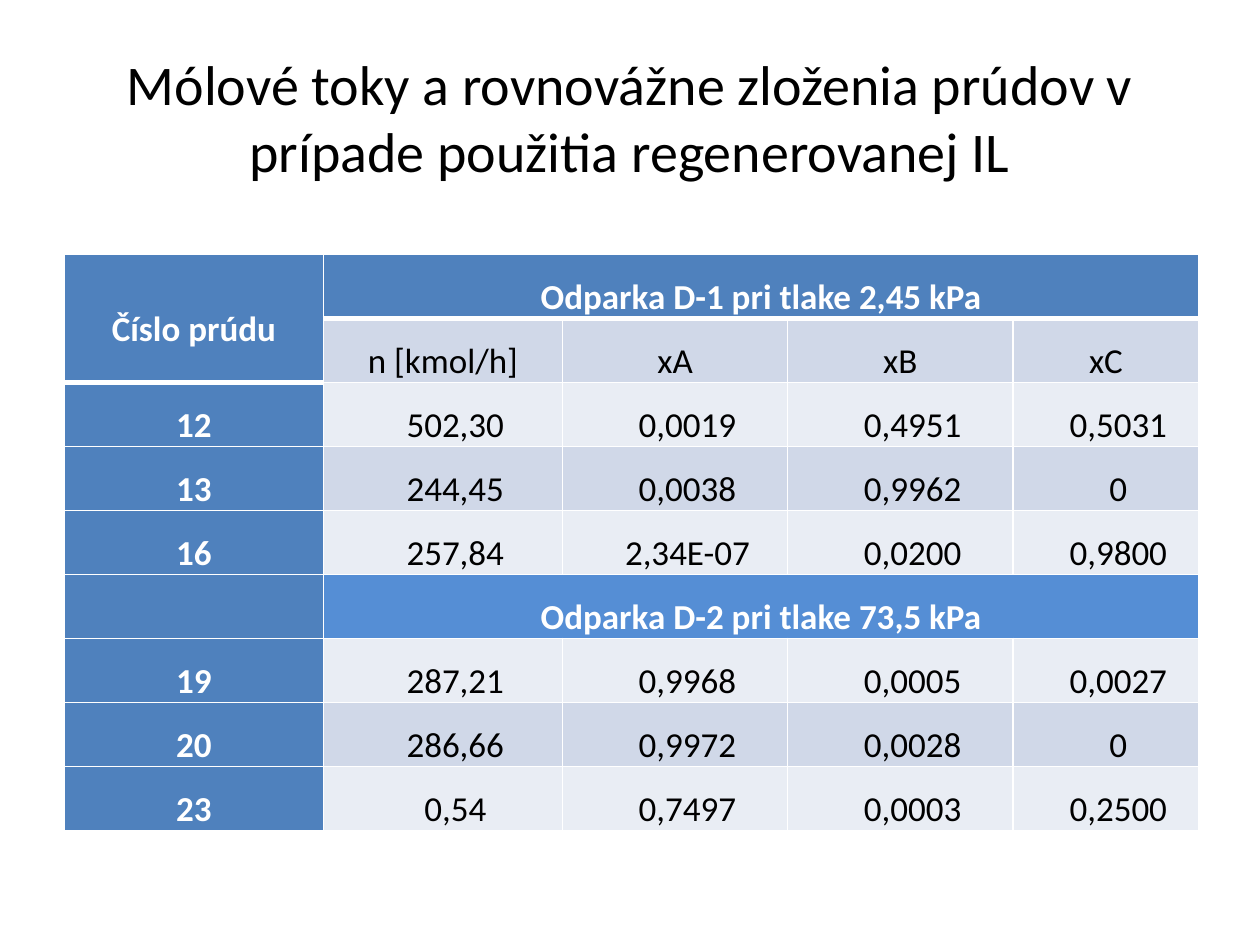
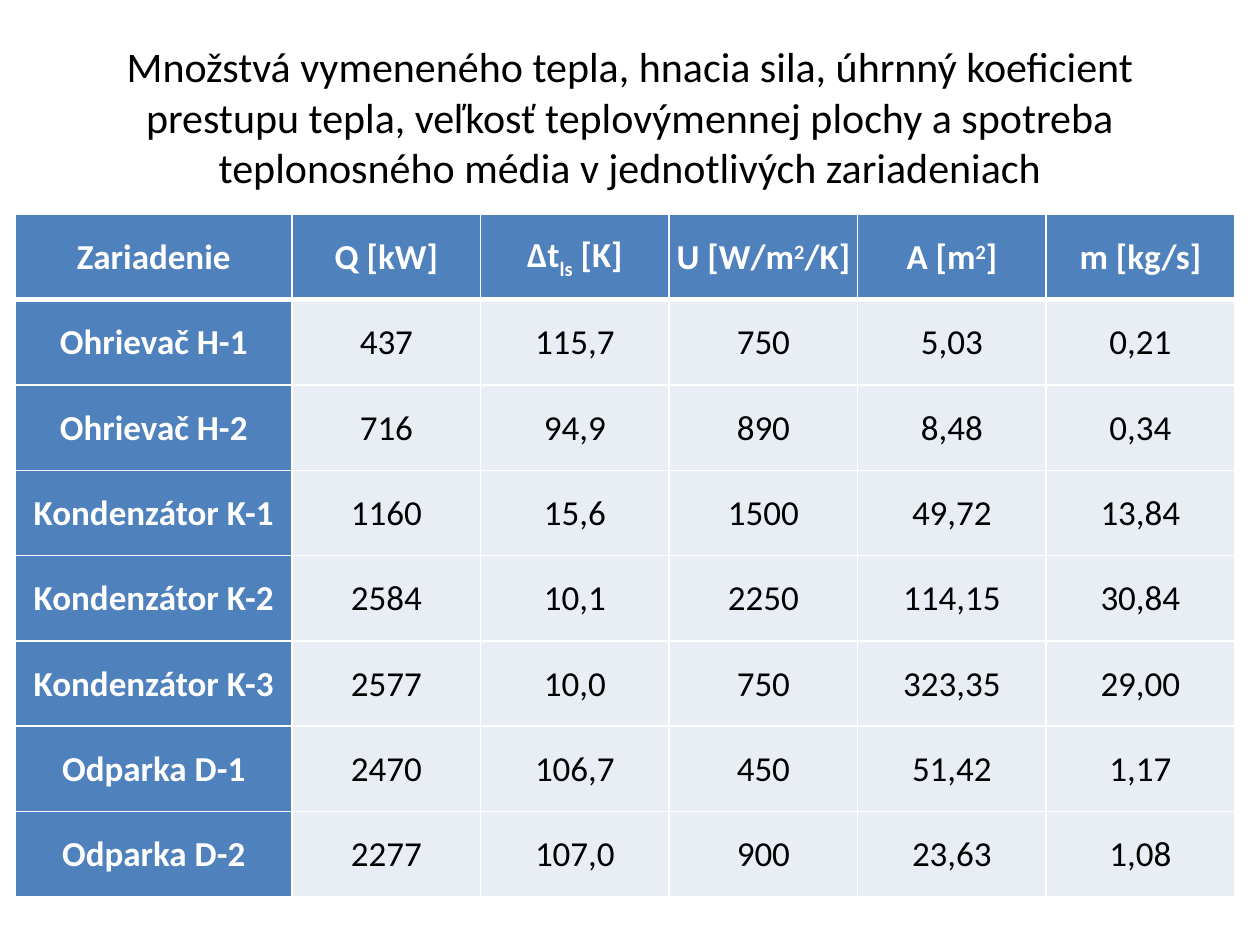
from lxml.etree import SubElement
from pptx import Presentation
from pptx.dml.color import RGBColor
from pptx.enum.text import MSO_ANCHOR, PP_ALIGN
from pptx.oxml.ns import qn
from pptx.util import Cm, Pt

# Shared look
FONT = "Calibri"
BLACK, WHITE = "000000", "FFFFFF"
HEADER_BLUE, SECTION_BLUE = "4F81BD", "558ED5"
DARK_BAND, LIGHT_BAND = "D0D8E8", "E9EDF4"
TABLE_SIZE = 20
SUBSCRIPT, SUPERSCRIPT = -25000, 30000

# Slide 1: molar flows; a one-item tail spans the remaining columns
FLOW_TITLE = "Mólové toky a rovnovážne zloženia prúdov v prípade použitia regenerovanej IL"
FLOW_ROWS = [
    ["Číslo prúdu", "Odparka D-1 pri tlake 2,45 kPa"],
    ["", "n [kmol/h]", "xA", "xB", "xC"],
    ["12", "502,30", "0,0019", "0,4951", "0,5031"],
    ["13", "244,45", "0,0038", "0,9962", "0"],
    ["16", "257,84", "2,34E-07", "0,0200", "0,9800"],
    ["", "Odparka D-2 pri tlake 73,5 kPa"],
    ["19", "287,21", "0,9968", "0,0005", "0,0027"],
    ["20", "286,66", "0,9972", "0,0028", "0"],
    ["23", "0,54", "0,7497", "0,0003", "0,2500"],
]
SECTION_ROW = 5

# Slide 2: heat exchange; a tuple holds spans, each with its baseline shift
HEAT_TITLE = ("Množstvá vymeneného tepla, hnacia sila, úhrnný koeficient prestupu tepla, "
              "veľkosť teplovýmennej plochy a spotreba teplonosného média "
              "v jednotlivých zariadeniach")
HEAT_ROWS = [
    ["Zariadenie", "Q [kW]",
     (("∆t", 0), ("ls", SUBSCRIPT), (" [K]", 0)),
     (("U [W/m", 0), ("2", SUPERSCRIPT), ("/K]", 0)),
     (("A [m", 0), ("2", SUPERSCRIPT), ("]", 0)), "m [kg/s]"],
    ["Ohrievač H-1", "437", "115,7", "750", "5,03", "0,21"],
    ["Ohrievač H-2", "716", "94,9", "890", "8,48", "0,34"],
    ["Kondenzátor K-1", "1160", "15,6", "1500", "49,72", "13,84"],
    ["Kondenzátor K-2", "2584", "10,1", "2250", "114,15", "30,84"],
    ["Kondenzátor K-3", "2577", "10,0", "750", "323,35", "29,00"],
    ["Odparka D-1", "2470", "106,7", "450", "51,42", "1,17"],
    ["Odparka D-2", "2277", "107,0", "900", "23,63", "1,08"],
]


def color(hex_text):
    return RGBColor.from_string(hex_text)


def format_spans(para, size, hex_text, bold=False):
    for span in para.runs:
        span.font.name = FONT
        span.font.size = Pt(size)
        span.font.bold = bold
        span.font.color.rgb = color(hex_text)


def add_title(page, text, size):
    box = page.shapes.add_textbox(Cm(1.27), Cm(0.76), Cm(22.86), Cm(3.18))
    frame = box.text_frame
    frame.word_wrap = True
    frame.vertical_anchor = MSO_ANCHOR.MIDDLE
    frame.text = text
    para = frame.paragraphs[0]
    para.alignment = PP_ALIGN.CENTER
    format_spans(para, size, BLACK)


def add_borders(cell, widths):
    """Draw white lines; widths maps a side (L, R, T, B) to points."""
    properties = cell._tc.get_or_add_tcPr()
    for side, width in widths.items():
        line = SubElement(properties, qn(f"a:ln{side}"), w=str(Pt(width)))
        fill = SubElement(line, qn("a:solidFill"))
        SubElement(fill, qn("a:srgbClr"), val=WHITE)


def style_cell(cell, fill, margins, row, thick_bottom):
    widths = {"L": 1, "R": 1}
    if row == 0:
        widths["T"] = 1
    widths["B"] = 3 if thick_bottom else 1
    add_borders(cell, widths)
    cell.fill.solid()
    cell.fill.fore_color.rgb = color(fill)
    cell.vertical_anchor = MSO_ANCHOR.MIDDLE
    side, top = margins
    cell.margin_left = cell.margin_right = Cm(side)
    cell.margin_top, cell.margin_bottom = Cm(top), 0


def write_cell(cell, content, emphasized, line_spacing, indent):
    para = cell.text_frame.paragraphs[0]
    para.alignment = PP_ALIGN.CENTER
    para.line_spacing = line_spacing
    if indent:
        para._p.get_or_add_pPr().set("indent", str(Cm(indent)))
    if isinstance(content, str):
        para.text = content
    else:
        for text, baseline in content:
            span = para.add_run()
            span.text = text
            if baseline:
                span._r.get_or_add_rPr().set("baseline", str(baseline))
    format_spans(para, TABLE_SIZE, WHITE if emphasized else BLACK, emphasized)


def add_grid(page, rows, left, top, widths, row_height, margins, row_fills,
             line_spacing=1.0, indent=0, first_indented=0, header_span=1):
    """Add a table with a blue first column; row_fills colours the rest."""
    table = page.shapes.add_table(
        len(rows), len(widths), Cm(left), Cm(top),
        Cm(sum(widths)), Cm(row_height * len(rows))).table
    table.first_row = table.horz_banding = False
    for column, width in zip(table.columns, widths):
        column.width = Cm(width)
    for i, contents in enumerate(rows):
        table.rows[i].height = Cm(row_height)
        for j in range(len(widths)):
            cell = table.cell(i, j)
            is_label = j == 0
            fill = HEADER_BLUE if is_label else row_fills[i]
            thick = i == 0 or (is_label and i < header_span)
            style_cell(cell, fill, margins, i, thick)
            if j < len(contents) and contents[j]:
                emphasized = fill in (HEADER_BLUE, SECTION_BLUE)
                indented = not emphasized and i >= first_indented
                write_cell(cell, contents[j], emphasized, line_spacing,
                           indent if indented else 0)
        if len(contents) < len(widths):
            table.cell(i, len(contents) - 1).merge(table.cell(i, len(widths) - 1))
    if header_span > 1:
        table.cell(0, 0).merge(table.cell(header_span - 1, 0))


def add_flow_slide(deck, layout):
    page = deck.slides.add_slide(layout)
    add_title(page, FLOW_TITLE, 32)
    fills = [DARK_BAND if i % 2 else LIGHT_BAND for i in range(len(FLOW_ROWS))]
    fills[0], fills[SECTION_ROW] = HEADER_BLUE, SECTION_BLUE
    add_grid(page, FLOW_ROWS, 1.3, 5.13, [5.22, 4.82, 4.54, 4.54, 3.75], 1.29,
             (0.18, 0), fills, line_spacing=1.5, indent=0.5,
             first_indented=2, header_span=2)


def add_heat_slide(deck, layout):
    page = deck.slides.add_slide(layout)
    add_title(page, HEAT_TITLE, 24)
    fills = [HEADER_BLUE] + [LIGHT_BAND] * (len(HEAT_ROWS) - 1)
    add_grid(page, HEAT_ROWS, 0.31, 4.32, [5.58] + [3.8] * 5, 1.72,
             (0.03, 0.03), fills)


def main():
    deck = Presentation()
    deck.slide_width, deck.slide_height = Cm(25.4), Cm(19.05)
    blank = deck.slide_layouts[6]
    add_flow_slide(deck, blank)
    add_heat_slide(deck, blank)
    deck.save("out.pptx")


if __name__ == "__main__":
    main()
